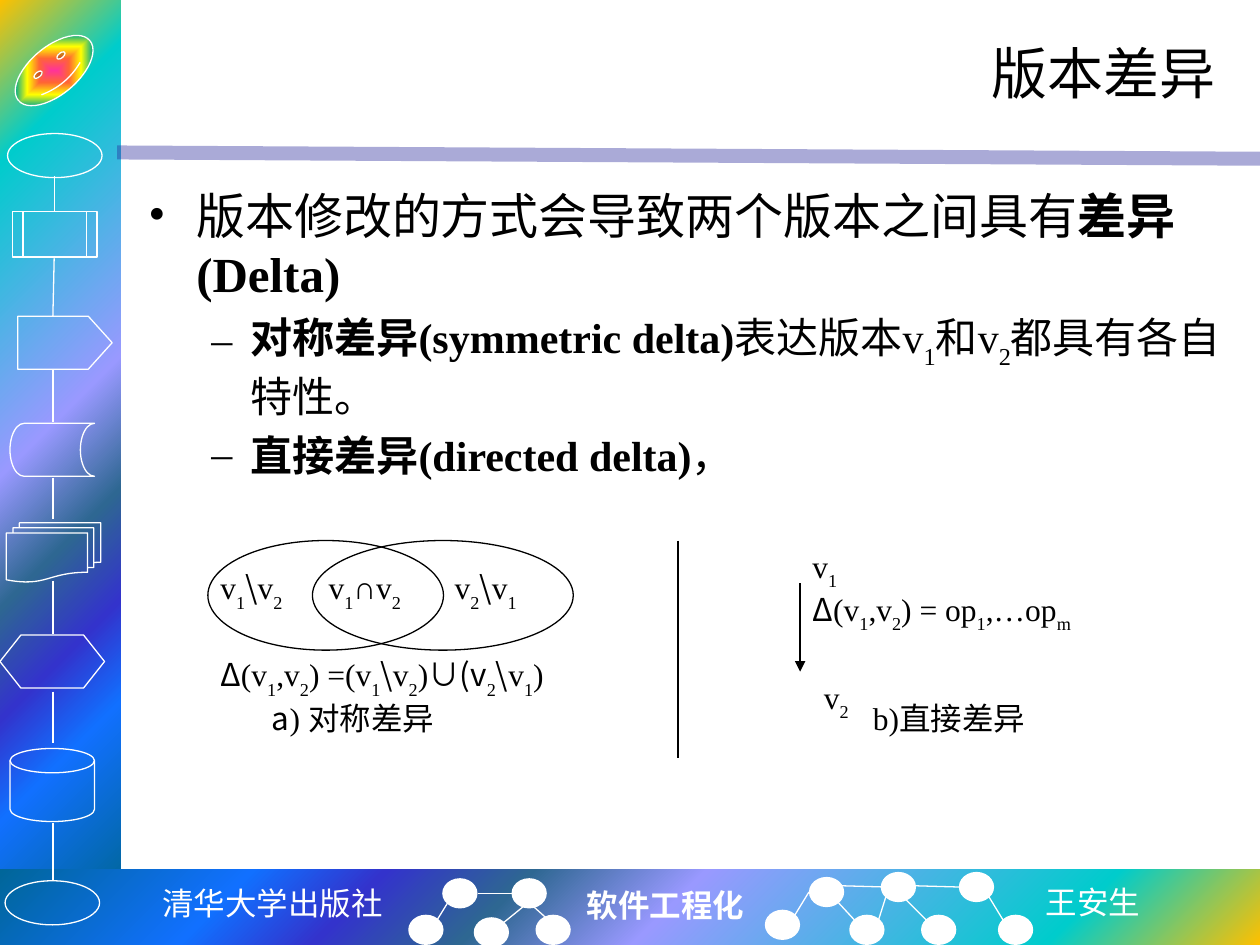
"""Build a slide on version differences with a flowchart-themed frame."""
from lxml import etree
from pptx import Presentation
from pptx.dml.color import RGBColor
from pptx.enum.shapes import MSO_CONNECTOR, MSO_SHAPE as Shape
from pptx.enum.text import MSO_ANCHOR as Anchor, PP_ALIGN as Align
from pptx.oxml.ns import qn
from pptx.util import Inches, Pt

COLORS = {"white": "FFFFFF", "black": "000000", "rule": "262699"}
SERIF, SANS, MONO = "Times New Roman", "Noto Sans CJK SC", "Noto Sans Mono"
FRAME_STOPS = [(0, "FFC000"), (16, "00CCCC"), (47, "9999FF"), (60, "2E6792"),
               (71, "3333CC"), (81, "1170FF"), (100, "006699")]
BADGE_STOPS = [(0, "FF3399"), (25, "FF6633"), (50, "FFFF00"), (75, "01A78F"),
               (100, "3366FF")]
FLOW_SHAPES = [
    (Shape.FLOWCHART_PREDEFINED_PROCESS, 0.1, 1.68, 0.67, 0.36),
    (Shape.FLOWCHART_STORED_DATA, 0.08, 3.36, 0.67, 0.42),
    (Shape.FLOWCHART_MAGNETIC_DISK, 0.08, 5.94, 0.67, 0.58),
    (Shape.FLOWCHART_PREPARATION, 0, 5.04, 0.83, 0.42),
    (Shape.FLOWCHART_MULTIDOCUMENT, 0.05, 4.15, 0.75, 0.47),
    (Shape.PENTAGON, 0.14, 2.51, 0.75, 0.42),
    (Shape.OVAL, 0.06, 1.06, 0.75, 0.35),
    (Shape.OVAL, 0.04, 6.99, 0.75, 0.35),
]
FLOW_LINKS = [(0.43, 1.4, 0.43, 1.68), (0.43, 2.05, 0.42, 2.51)] + [
    (0.42, top, 0.42, bottom) for top, bottom in
    [(2.93, 3.35), (3.79, 4.12), (4.61, 5.03), (5.49, 5.9), (6.53, 6.99)]]
TREE_NODES = [
    (3.51, 6.97), (4.06, 6.97), (3.24, 7.26), (3.76, 7.28), (4.25, 7.26),
    (6.42, 6.96), (6.99, 6.92), (7.61, 6.92), (6.07, 7.22), (6.74, 7.26),
    (7.31, 7.26), (7.92, 7.26)]
TREE_LINKS = [
    (3.47, 7.3, 3.55, 7.17), (4, 7.32, 4.16, 7.19), (4.06, 7.09, 3.79, 7.09),
    (4.34, 7.29, 4.24, 7.2), (6.78, 7.3, 6.65, 7.16), (7.35, 7.3, 7.15, 7.1),
    (7.96, 7.3, 7.85, 7.12), (6.97, 7.31, 7.03, 7.12),
    (7.26, 7.03, 7.61, 7.04), (6.31, 7.26, 6.42, 7.08),
    (6.68, 7.03, 7.03, 7.04)]
FORMULAS = [
    ("v|_1|∩v|_2", 2.51, 4.46, 1.04, 0),
    ("v|_1|~\\|v|_2", 1.65, 4.46, 1.12, 0),
    ("v|_2|~\\|v|_1", 3.51, 4.46, 1.04, 0),
    ("~Δ|(v|_1|,v|_2|) =(v|_1|~\\|v|_2|)|~∪(v|_2|~\\|v|_1|)", 1.65, 5.15, 3.11, 0),
    ("~a|) 对称差异", 2.06, 5.5, 2, 0),
    ("v|_1", 6.05, 4.29, 0.83, 0.3),
    ("v|_2", 6.14, 5.33, 0.83, 0.3),
    ("~Δ|(v|_1|,v|_2|) = op|_1|,…op|_m", 6.35, 4.63, 2.63, 0),
    ("b)直接差异", 6.83, 5.5, 1.45, 0),
]
BODY = [
    ("版本修改的方式会导致两个版本之间具有|*差异(Delta)", 28, "•", 0.38, 0.38),
    ("*对称差异(symmetric delta)|表达版本v|_1|和v|_2|都具有各自特性。", 24, "–", 0.81, 0.31),
    ("*直接差异(directed delta)|，", 24, "–", 0.81, 0.31),
]


def rgb(name):
    """Return the named colour."""
    return RGBColor.from_string(COLORS[name])


def add_shape(page, kind, left, top, width, height, fill=None, line=None):
    """Add a preset shape with optional fill and outline colours."""
    shape = page.shapes.add_shape(kind, *map(Inches, (left, top, width, height)))
    shape.shadow.inherit = False
    if fill:
        shape.fill.solid()
        shape.fill.fore_color.rgb = rgb(fill)
    else:
        shape.fill.background()
    if line:
        shape.line.color.rgb = rgb(line)
        shape.line.width = Pt(0.75)
    else:
        shape.line.fill.background()
    return shape


def set_gradient(shape, stops, path, focus):
    """Replace the shape's empty fill with a path gradient."""
    old = shape._element.spPr.find(qn("a:noFill"))
    gradient = etree.Element(qn("a:gradFill"), rotWithShape="1")
    stop_list = etree.SubElement(gradient, qn("a:gsLst"))
    for position, color in stops:
        stop = etree.SubElement(stop_list, qn("a:gs"), pos=str(position * 1000))
        etree.SubElement(stop, qn("a:srgbClr"), val=color)
    route = etree.SubElement(gradient, qn("a:path"), path=path)
    sides = {side: str(value * 1000) for side, value in zip("ltrb", focus)}
    etree.SubElement(route, qn("a:fillToRect"), **sides)
    old.getparent().replace(old, gradient)


def add_line(page, points, color, width=0.75, alpha=None, arrow=False):
    """Add a straight line, optionally translucent or with an arrowhead."""
    line = page.shapes.add_connector(MSO_CONNECTOR.STRAIGHT, *map(Inches, points))
    line.line.color.rgb = rgb(color)
    line.line.width = Pt(width)
    properties = line._element.spPr
    if alpha:
        tint = properties.find(".//" + qn("a:srgbClr"))
        etree.SubElement(tint, qn("a:alpha"), val=str(alpha * 1000))
    if arrow:
        etree.SubElement(properties.find(qn("a:ln")), qn("a:tailEnd"), type="triangle")
    etree.SubElement(properties, qn("a:effectLst"))


def write_spans(para, markup, size, color="black", font=SERIF):
    """Write spans split by |, where _ is subscript, ~ sans and * bold."""
    for part in markup.split("|"):
        mark = part[0] if part[0] in "_~*" else ""
        span = para.add_run()
        span.text = part[len(mark):]
        span.font.size = Pt(size)
        span.font.name = SANS if mark == "~" else font
        span.font.bold = mark == "*"
        span.font.color.rgb = rgb(color)
        if mark == "_":
            span._r.get_or_add_rPr().set("baseline", "-30000")


def add_text(page, bounds, markup, size=18, align=Align.LEFT, wrap=True,
             indent=0, **style):
    """Add a text box holding one paragraph."""
    box = page.shapes.add_textbox(*map(Inches, bounds))
    box.text_frame.word_wrap = wrap
    para = box.text_frame.paragraphs[0]
    para.alignment = align
    if indent:
        para._p.get_or_add_pPr().set("indent", str(Inches(indent)))
    write_spans(para, markup, size, **style)
    return box


def add_body(page):
    """Add the bulleted explanation."""
    frame = page.shapes.add_textbox(*map(Inches, (1.08, 1.42, 8.75, 2.6))).text_frame
    frame.word_wrap = True
    for index, (markup, size, bullet, margin, hang) in enumerate(BODY):
        para = frame.add_paragraph() if index else frame.paragraphs[0]
        properties = para._p.get_or_add_pPr()
        properties.set("marL", str(Inches(margin)))
        properties.set("indent", str(-Inches(hang)))
        etree.SubElement(properties, qn("a:buFont"), typeface=SERIF)
        etree.SubElement(properties, qn("a:buChar"), char=bullet)
        if index:
            para.level = 1
            para.space_before = Pt(size * 0.2)
        write_spans(para, markup, size)


def add_frame(page):
    """Add the gradient bars, flowchart column, trees and footer labels."""
    for bounds, focus in [((0, 0, 0.96, 7.09), (0, 0, 100, 100)),
                          ((0, 6.9, 10, 0.6), (100, 100, 0, 0))]:
        set_gradient(add_shape(page, Shape.RECTANGLE, *bounds), FRAME_STOPS, "circle", focus)
    add_line(page, (0.93, 1.21, 10, 1.26), "rule", width=8, alpha=39)
    for kind, *bounds in FLOW_SHAPES:
        shape = add_shape(page, kind, *bounds, line="white")
        if kind == Shape.PENTAGON:
            shape.adjustments[0] = 0.45
    badge = add_shape(page, Shape.SMILEY_FACE, 0.06, 0.37, 0.74, 0.38, line="white")
    badge.adjustments[0] = 0.047
    badge.rotation = -40
    set_gradient(badge, BADGE_STOPS, "shape", (50, 50, 50, 50))
    for left, top in TREE_NODES:
        add_shape(page, Shape.OVAL, left, top, 0.28, 0.24, fill="white")
    for points in FLOW_LINKS + TREE_LINKS:
        add_line(page, points, "white")
    for markup, left, top, width, font in [
            ("清华大学出版社", 1.19, 6.97, 1.97, MONO),
            ("*软件工程化", 4.56, 6.98, 1.46, SERIF),
            ("王安生", 8.2, 6.96, 0.96, SANS)]:
        add_text(page, (left, top, width, 0.4), markup, wrap=False, color="white", font=font)


def add_diagram(page):
    """Add the symmetric and directed delta diagrams."""
    for left, width in [(1.65, 1.87), (2.48, 2.07)]:
        add_shape(page, Shape.OVAL, left, 4.29, width, 0.87, line="black")
    for markup, left, top, width, indent in FORMULAS:
        add_text(page, (left, top, width, 0.52), markup, indent=indent)
    add_line(page, (6.35, 4.63, 6.35, 5.33), "black", arrow=True)
    add_line(page, (5.38, 4.29, 5.38, 6.02), "black")


def main():
    """Build and save the deck."""
    deck = Presentation()
    deck.slide_width, deck.slide_height = Inches(10), Inches(7.5)
    page = deck.slides.add_slide(deck.slide_layouts[6])
    add_frame(page)
    title = add_text(page, (1.25, 0.17, 8.5, 0.81), "版本差异", size=32, align=Align.RIGHT)
    title.text_frame.vertical_anchor = Anchor.MIDDLE
    add_body(page)
    add_diagram(page)
    deck.save("out.pptx")


if __name__ == "__main__":
    main()
